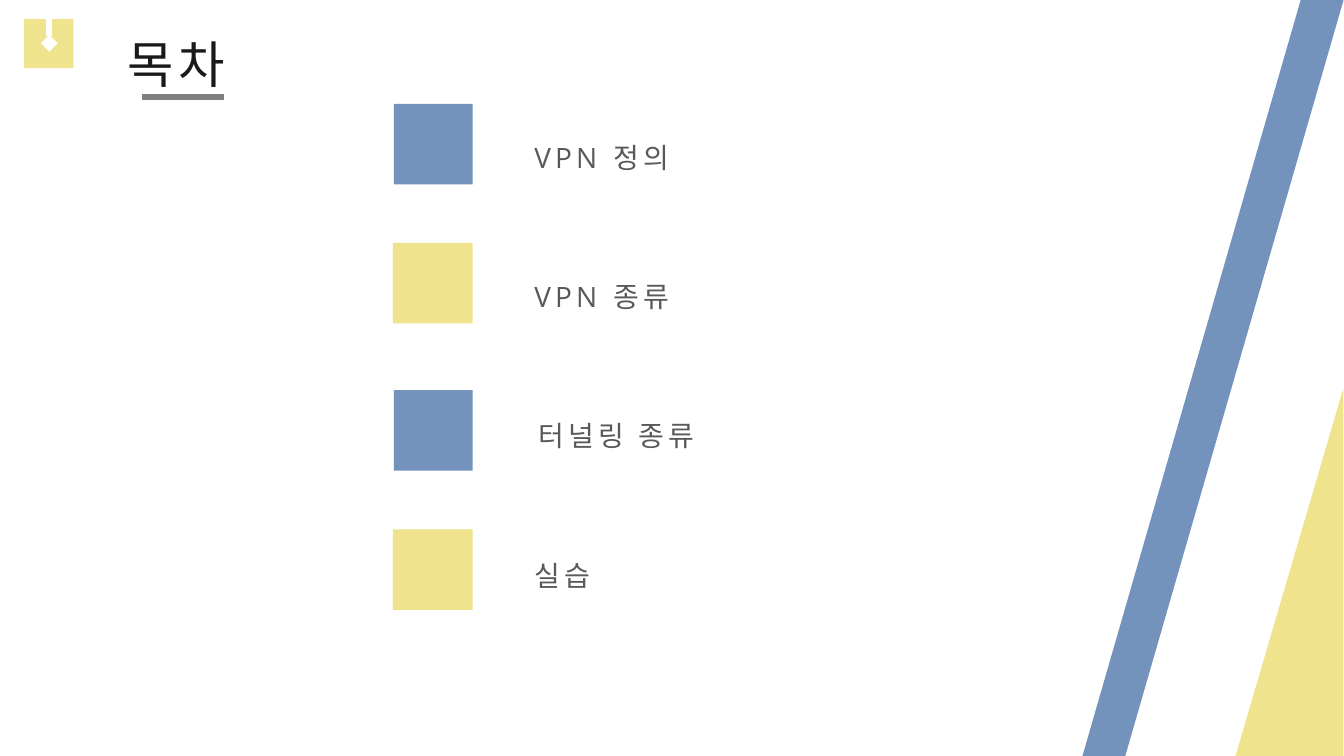
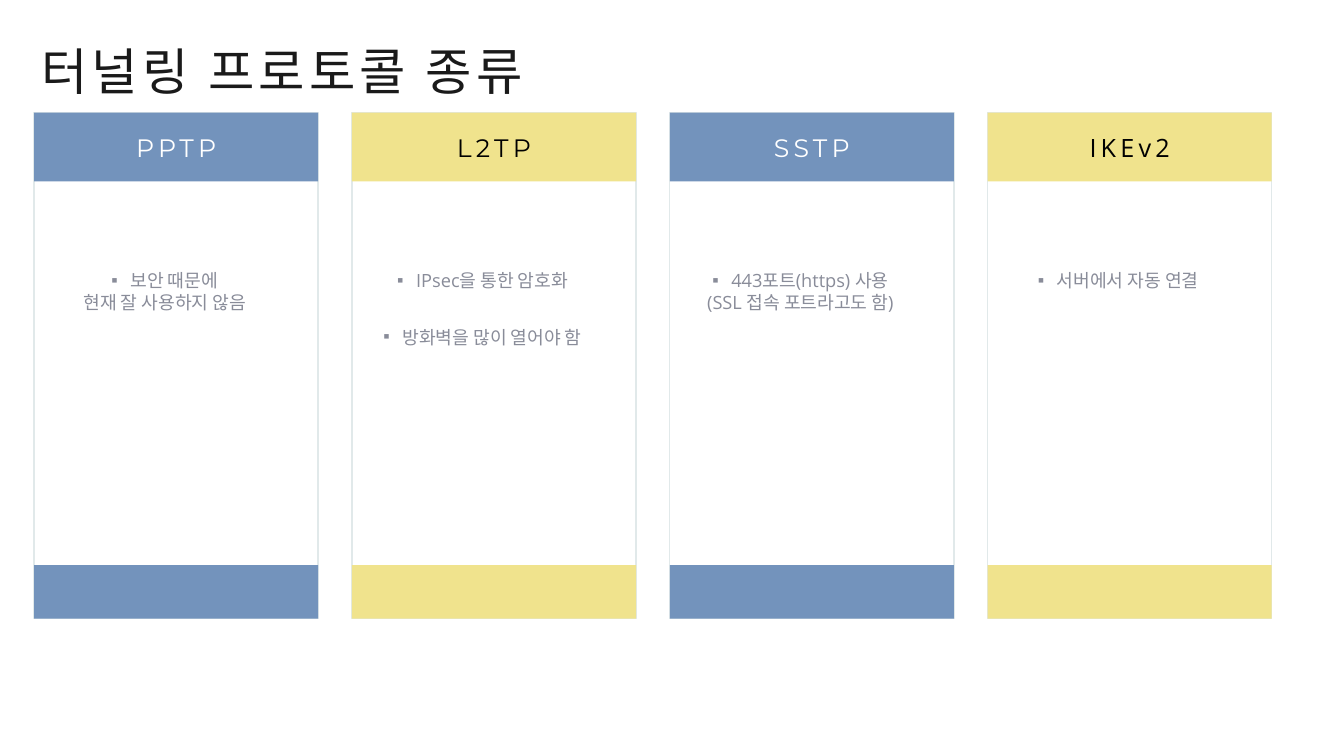
from dataclasses import dataclass
from typing import Optional

from lxml.etree import SubElement
from pptx import Presentation
from pptx.dml.color import RGBColor
from pptx.enum.shapes import MSO_CONNECTOR as Connector, MSO_SHAPE as Preset
from pptx.enum.text import MSO_ANCHOR as Anchor, MSO_AUTO_SIZE as AutoSize, PP_ALIGN as Align
from pptx.oxml.ns import qn
from pptx.util import Cm, Pt


@dataclass(frozen=True)
class Theme:
    blue: str = "7393BC"
    yellow: str = "F0E38D"
    white: str = "FFFFFF"
    black: str = "000000"
    title_ink: str = "1A1A1A"
    agenda_ink: str = "595959"
    list_ink: str = "898C99"
    rule: str = "808080"
    border: str = "E1E9EA"
    title_font: str = "Montserrat"
    body_font: str = "Open Sans"
    title_size: float = 36
    agenda_size: float = 20
    header_size: float = 18
    list_size: float = 13
    tracking: float = 3


THEME = Theme()


@dataclass(frozen=True)
class Box:
    left: float
    top: float
    width: float
    height: float


@dataclass(frozen=True)
class Style:
    font: str
    size: float
    color: str
    tracking: float = 0


@dataclass(frozen=True)
class AgendaItem:
    text: str
    marker: Box
    color: str
    indent: float = 0


@dataclass(frozen=True)
class ListLine:
    text: str
    bullet: bool = True
    space_before: float = 0


@dataclass(frozen=True)
class Protocol:
    name: str
    fill: str
    ink: str
    font: str
    lines: tuple[ListLine, ...]


TITLE_STYLE = Style(THEME.title_font, THEME.title_size, THEME.title_ink, THEME.tracking)
AGENDA_STYLE = Style(THEME.body_font, THEME.agenda_size, THEME.agenda_ink, THEME.tracking)
LIST_STYLE = Style(THEME.body_font, THEME.list_size, THEME.list_ink)

AGENDA = (
    AgendaItem("VPN 정의", Box(9.93, 2.62, 1.98, 2.03), THEME.blue),
    AgendaItem("VPN 종류", Box(9.9, 6.12, 2.01, 2.03), THEME.yellow),
    AgendaItem("터널링 종류", Box(9.93, 9.83, 1.98, 2.03), THEME.blue, indent=0.1),
    AgendaItem("실습", Box(9.9, 13.34, 2.01, 2.03), THEME.yellow),
)
AGENDA_LINE = 40
AGENDA_PITCH = 99.6

PROTOCOLS = (
    Protocol("PPTP", THEME.blue, THEME.white, THEME.title_font,
             (ListLine("보안 때문에"), ListLine("현재 잘 사용하지 않음", bullet=False))),
    Protocol("L2TP", THEME.yellow, THEME.black, THEME.title_font,
             (ListLine("IPsec을 통한 암호화"),
              ListLine("방화벽을 많이 열어야 함", space_before=25))),
    Protocol("SSTP", THEME.blue, THEME.white, THEME.title_font,
             (ListLine("443포트(https) 사용"),
              ListLine("(SSL 접속 포트라고도 함)", bullet=False))),
    Protocol("IKEv2", THEME.yellow, THEME.black, THEME.body_font,
             (ListLine("서버에서 자동 연결"),)),
)
COLUMN = Box(0.86, 2.84, 7.16, 12.75)
COLUMN_PITCH = 8.01
HEADER_HEIGHT = 1.73
FOOTER_HEIGHT = 1.35
LIST_BOX = Box(0.14, 6.65, 6.3, 3)


def rgb(color: str) -> RGBColor:
    return RGBColor.from_string(color)


def place(shape, box: Box) -> None:
    shape.left, shape.top = Cm(box.left), Cm(box.top)
    shape.width, shape.height = Cm(box.width), Cm(box.height)


def add_text(para, text: str, style: Style) -> None:
    span = para.add_run()
    span.text = text
    font = span.font
    font.name, font.size, font.bold = style.font, Pt(style.size), False
    font.color.rgb = rgb(style.color)
    if style.tracking:
        font._element.set("spc", str(round(style.tracking * 100)))


def set_bullet(para, bullet: Optional[str], hang: float = 0, margin: float = 0) -> None:
    properties = para._p.get_or_add_pPr()
    properties.set("marL", str(Cm(hang + margin)))
    properties.set("indent", str(-Cm(hang)))
    if bullet:
        SubElement(properties, qn("a:buChar")).set("char", bullet)
    else:
        SubElement(properties, qn("a:buNone"))


def prepare_frame(shape, box: Box):
    place(shape, box)
    frame = shape.text_frame
    frame.word_wrap = True
    frame.auto_size = AutoSize.NONE
    frame.vertical_anchor = Anchor.TOP
    return frame


def add_paragraph(frame, index: int):
    para = frame.add_paragraph() if index else frame.paragraphs[0]
    para.space_before = Pt(0)
    return para


def add_title(page, text: str, box: Box) -> None:
    para = add_paragraph(prepare_frame(page.shapes.title, box), 0)
    para.alignment = Align.LEFT
    para.line_spacing = 1.5
    add_text(para, text, TITLE_STYLE)


def add_block(page, box: Box, fill: str, preset=Preset.RECTANGLE, border: Optional[str] = None):
    block = page.shapes.add_shape(preset, 0, 0, 0, 0)
    place(block, box)
    block.shadow.inherit = False
    block.fill.solid()
    block.fill.fore_color.rgb = rgb(fill)
    if border:
        block.line.color.rgb = rgb(border)
        block.line.width = Pt(1)
    else:
        block.line.fill.background()
    return block


def add_line(page, start: tuple[float, float], end: tuple[float, float],
             color: str, width: float, tail: Optional[str] = None) -> None:
    line = page.shapes.add_connector(Connector.STRAIGHT, *map(Cm, start + end))
    line.line.color.rgb = rgb(color)
    line.line.width = Pt(width)
    if tail:
        SubElement(line.line._get_or_add_ln(), qn("a:tailEnd")).set("type", tail)
    SubElement(line.element.spPr, qn("a:effectLst"))


def draw_agenda(deck) -> None:
    page = deck.slides.add_slide(deck.slide_layouts[1])
    add_title(page, "목차", Box(2.97, -0.05, 7.47, 2.29))
    add_line(page, (3.58, 2.44), (5.64, 2.44), THEME.rule, 4.5)
    add_block(page, Box(0.61, 0.48, 1.24, 1.24), THEME.yellow)
    add_line(page, (1.24, 0.48), (1.24, 1.09), THEME.white, 4, "diamond")

    frame = prepare_frame(page.placeholders[1], Box(13.21, 2.84, 8.03, 13))
    for index, item in enumerate(AGENDA):
        add_block(page, item.marker, item.color)
        para = add_paragraph(frame, index)
        para.line_spacing = Pt(AGENDA_LINE)
        para.space_after = Pt(AGENDA_PITCH - AGENDA_LINE)
        set_bullet(para, None, margin=item.indent)
        add_text(para, item.text, AGENDA_STYLE)

    corner = add_block(page, Box(27.86, 13.06, 9.27, 2.72), THEME.yellow, Preset.RIGHT_TRIANGLE)
    corner.rotation = 270
    stripe = add_block(page, Box(27.28, 0, 6.58, 19.05), THEME.blue, Preset.PARALLELOGRAM)
    stripe.adjustments[0] = 0.836


def draw_column(page, body, protocol: Protocol, left: float) -> None:
    bottom = COLUMN.top + COLUMN.height
    add_block(page, Box(left, COLUMN.top, COLUMN.width, COLUMN.height),
              THEME.white, border=THEME.border)
    add_block(page, Box(left, bottom - FOOTER_HEIGHT, COLUMN.width, FOOTER_HEIGHT), protocol.fill)
    header = add_block(page, Box(left, COLUMN.top, COLUMN.width, HEADER_HEIGHT), protocol.fill)
    label = header.text_frame
    label.margin_left = label.margin_right = label.margin_top = label.margin_bottom = 0
    label.vertical_anchor = Anchor.MIDDLE
    label.paragraphs[0].alignment = Align.CENTER
    add_text(label.paragraphs[0], protocol.name,
             Style(protocol.font, THEME.header_size, protocol.ink, THEME.tracking))

    frame = prepare_frame(
        body, Box(left + LIST_BOX.left, LIST_BOX.top, LIST_BOX.width, LIST_BOX.height))
    for index, line in enumerate(protocol.lines):
        para = add_paragraph(frame, index)
        para.alignment = Align.CENTER
        para.space_before = Pt(line.space_before)
        set_bullet(para, "▪" if line.bullet else None, hang=0.48 if line.bullet else 0)
        add_text(para, line.text, LIST_STYLE)
    body.element.getparent().append(body.element)


def draw_protocols(deck) -> None:
    page = deck.slides.add_slide(deck.slide_layouts[4])
    add_title(page, "터널링 프로토콜 종류", Box(0.79, 0.13, 20.73, 2.29))
    bodies = [page.placeholders[number] for number in range(1, 5)]
    for index, (body, protocol) in enumerate(zip(bodies, PROTOCOLS)):
        draw_column(page, body, protocol, COLUMN.left + index * COLUMN_PITCH)


def main() -> None:
    deck = Presentation()
    deck.slide_width, deck.slide_height = Cm(33.87), Cm(19.05)
    draw_agenda(deck)
    draw_protocols(deck)
    deck.save("out.pptx")


main()
